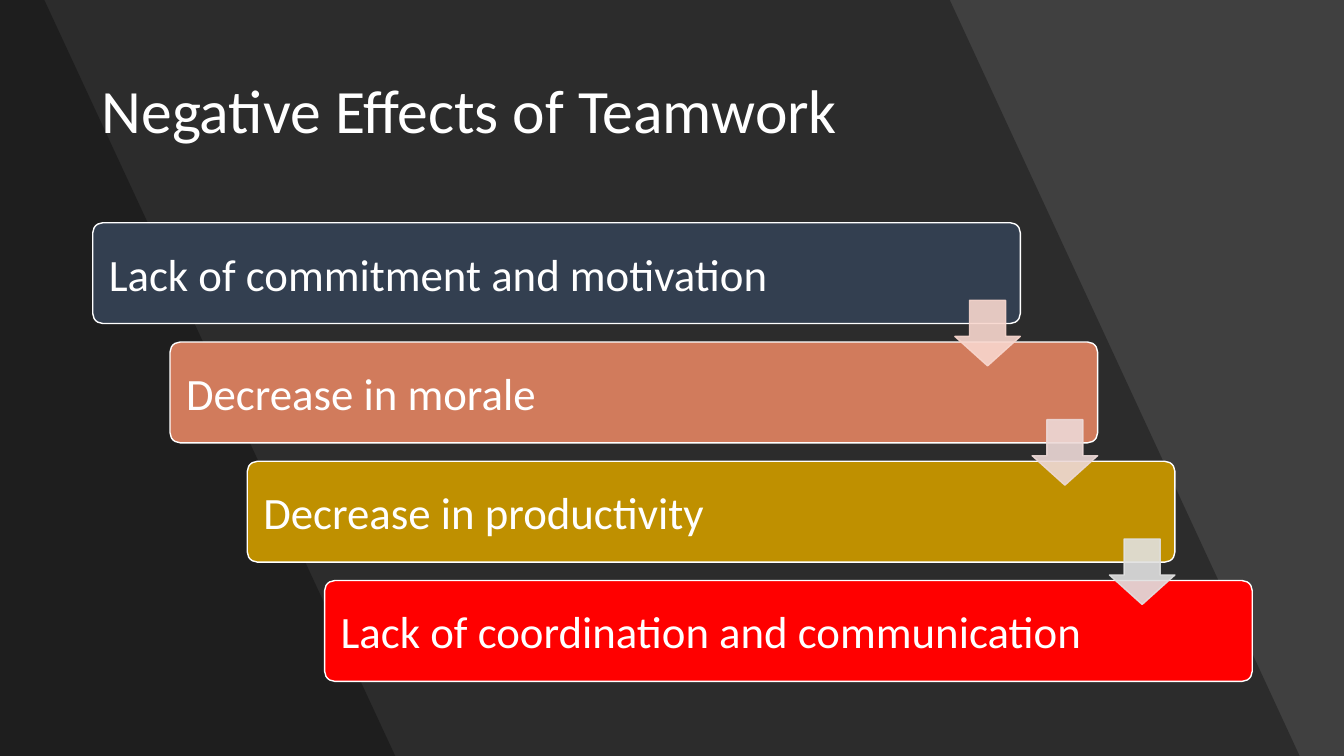
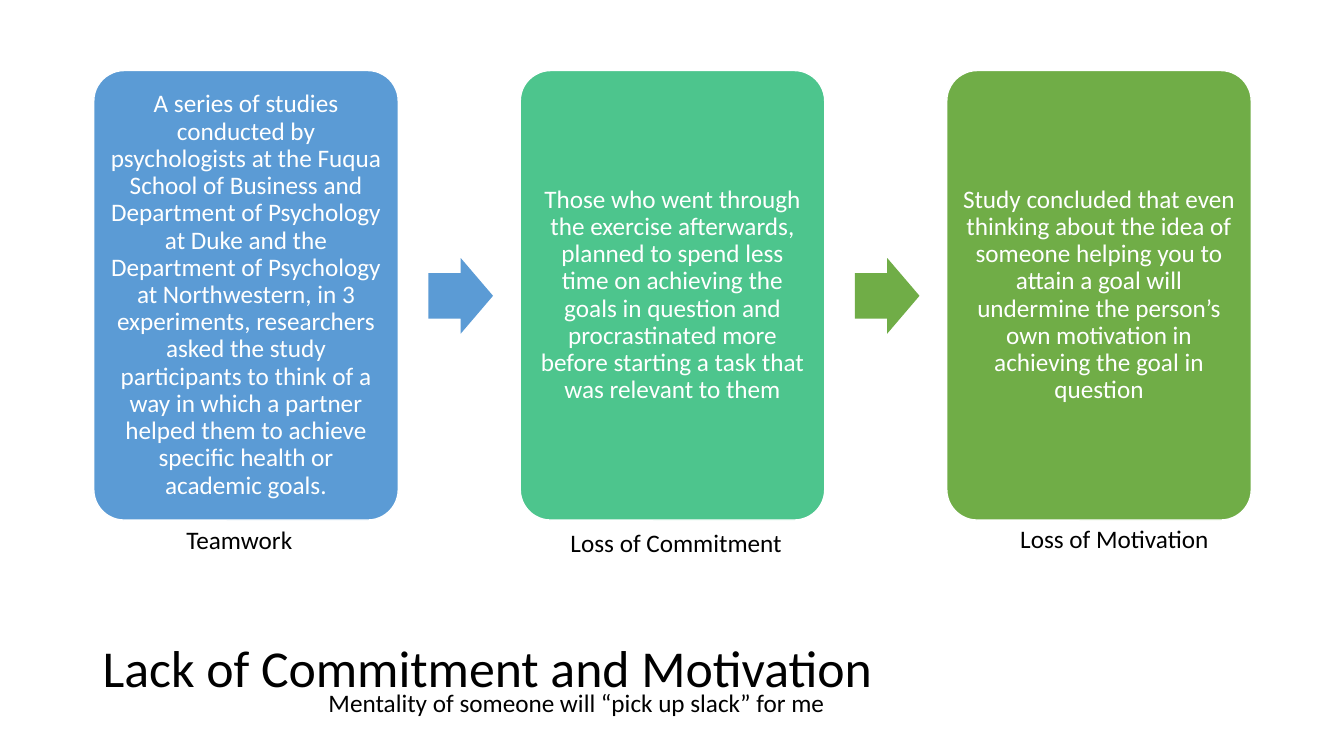
from dataclasses import dataclass

from lxml.etree import SubElement
from pptx import Presentation
from pptx.dml.color import RGBColor as Rgb
from pptx.enum.shapes import MSO_SHAPE as Kind
from pptx.enum.text import MSO_ANCHOR as Anchor, PP_ALIGN as Align
from pptx.oxml.ns import qn
from pptx.shapes.autoshape import Shape
from pptx.slide import Slide
from pptx.util import Inches, Pt

FONT = "Calibri"
COLORS = {
    "white": "FFFFFF", "black": "000000", "gray": "404040",
    "navy": "333F50", "clay": "D17B5C", "gold": "BF9000", "red": "FF0000",
    "peach": "F8D7CE", "rose": "EDD9D7", "silver": "E1E1E1",
    "blue": "5B9BD5", "mint": "4DC58D", "green": "70AD47",
}


@dataclass
class Box:
    left: float
    top: float
    width: float
    height: float

    def lengths(self) -> list[Inches]:
        return [Inches(v) for v in (self.left, self.top, self.width, self.height)]


@dataclass
class Style:
    size: float
    color: str = "white"
    align: Align = Align.LEFT
    anchor: Anchor = Anchor.MIDDLE
    spacing: float = 1.0
    inset: float | None = None


@dataclass
class Step:
    text: str
    color: str
    arrow: str | None = None


@dataclass
class Card:
    text: str
    color: str
    label: str
    spot: Box
    arrow: str | None = None


STEPS = [
    Step("Lack of commitment and motivation", "navy", "peach"),
    Step("Decrease in morale", "clay", "rose"),
    Step("Decrease in productivity", "gold", "silver"),
    Step("Lack of coordination and communication", "red"),
]
CARDS = [
    Card("A series of studies conducted by psychologists at the Fuqua School of "
         "Business and Department of Psychology at Duke and the Department of "
         "Psychology at Northwestern, in 3 experiments, researchers asked the study "
         "participants to think of a way in which a partner helped them to achieve "
         "specific health or academic goals.",
         "blue", "Teamwork", Box(1.75, 5.15, 1.41, 0.4), "blue"),
    Card("Those who went through the exercise afterwards, planned to spend less "
         "time on achieving the goals in question and procrastinated more before "
         "starting a task that was relevant to them",
         "mint", "Loss of Commitment", Box(5.56, 5.18, 2.48, 0.4), "green"),
    Card("Study concluded that even thinking about the idea of someone helping you "
         "to attain a goal will undermine the person’s own motivation in achieving "
         "the goal in question",
         "green", "Loss of Motivation", Box(10.02, 5.14, 2.09, 0.4)),
]
STEP_TEXT = Style(32, inset=0.13)
CARD_TEXT = Style(18, align=Align.CENTER, spacing=0.9, inset=0.07)
NOTE_TEXT = Style(18, "black", anchor=Anchor.TOP)


def rgb(name: str) -> Rgb:
    return Rgb.from_string(COLORS[name])


def set_all(target: object, values: dict) -> None:
    for name, value in values.items():
        setattr(target, name, value)


def write(shape: Shape, text: str, style: Style) -> None:
    frame = shape.text_frame
    set_all(frame, {"word_wrap": True, "vertical_anchor": style.anchor})
    if style.inset is not None:
        sides = ("left", "top", "right", "bottom")
        set_all(frame, {f"margin_{side}": Inches(style.inset) for side in sides})
    para = frame.paragraphs[0]
    set_all(para, {"alignment": style.align, "line_spacing": style.spacing})
    run = para.add_run()
    run.text = text
    set_all(run.font, {"name": FONT, "size": Pt(style.size)})
    run.font.color.rgb = rgb(style.color)


def add_text(slide: Slide, box: Box, text: str, style: Style) -> None:
    write(slide.shapes.add_textbox(*box.lengths()), text, style)


def add_title(slide: Slide, box: Box, text: str, size: float, color: str) -> None:
    add_text(slide, box, text, Style(size, color, spacing=0.9))


def paint(shape: Shape, fill: str, line: str | None = None,
          alpha: int | None = None) -> None:
    shape.shadow.inherit = False
    shape.fill.solid()
    shape.fill.fore_color.rgb = rgb(fill)
    if line:
        shape.line.color.rgb = rgb(line)
        shape.line.width = Pt(1)
    else:
        shape.line.fill.background()
    if alpha is not None:
        for node in list(shape._element.spPr.iter(qn("a:srgbClr"))):
            SubElement(node, qn("a:alpha")).set("val", str(alpha * 1000))


def add_shape(slide: Slide, kind: Kind, box: Box, adjust: tuple[float, ...],
              fill: str, line: str | None = None, alpha: int | None = None) -> Shape:
    shape = slide.shapes.add_shape(kind, *box.lengths())
    for index, value in enumerate(adjust):
        shape.adjustments[index] = value
    paint(shape, fill, line, alpha)
    return shape


def add_band(slide: Slide, top: float, base: float) -> None:
    points = [(top, 0), (base, 7.5), (0, 7.5)]
    form = slide.shapes.build_freeform(0, 0)
    form.add_line_segments([(Inches(x), Inches(y)) for x, y in points])
    paint(form.convert_to_shape(), "black", alpha=30)


def add_slide(deck: Presentation, color: str) -> Slide:
    slide = deck.slides.add_slide(deck.slide_layouts[6])
    slide.background.fill.solid()
    slide.background.fill.fore_color.rgb = rgb(color)
    return slide


def draw_steps(deck: Presentation) -> None:
    slide = add_slide(deck, "gray")
    for top, base in ((9.42, 12.89), (0.44, 3.92)):
        add_band(slide, top, base)
    add_title(slide, Box(0.91, 0.4, 11.51, 1.45),
              "Negative Effects of Teamwork", 44, "white")
    last = len(STEPS) - 1
    boxes = [Box(0.92 + 2.3 * i / last, 2.21 + 3.55 * i / last, 9.2, 1)
             for i in range(len(STEPS))]
    for step, box in zip(STEPS, boxes):
        bar = add_shape(slide, Kind.ROUNDED_RECTANGLE, box, (0.1,), step.color, "white")
        write(bar, step.text, STEP_TEXT)
    side = 0.65
    for step, box in zip(STEPS, boxes):
        if step.arrow:
            spot = Box(box.left + box.width - side, box.top + 0.77, side, side)
            add_shape(slide, Kind.DOWN_ARROW, spot, (0.55, 0.45),
                      step.arrow, step.arrow, 90)


def draw_cards(deck: Presentation) -> None:
    slide = add_slide(deck, "white")
    add_title(slide, Box(0.92, 6.05, 8.44, 1.2),
              "Lack of Commitment and Motivation", 37, "black")
    for index, card in enumerate(CARDS):
        left = 0.93 + 4.23 * index
        panel = add_shape(slide, Kind.ROUNDED_RECTANGLE, Box(left, 0.7, 3.02, 4.46),
                          (0.1,), card.color, "white")
        write(panel, card.text, CARD_TEXT)
        if card.arrow:
            add_shape(slide, Kind.RIGHT_ARROW, Box(left + 3.32, 2.56, 0.64, 0.75),
                      (0.6, 0.5), card.arrow)
        add_text(slide, card.spot, card.label, NOTE_TEXT)
    add_text(slide, Box(3.16, 6.77, 5.24, 0.4),
             "Mentality of someone will “pick up slack” for me", NOTE_TEXT)


def main() -> None:
    deck = Presentation()
    set_all(deck, {"slide_width": Inches(13.33), "slide_height": Inches(7.5)})
    draw_steps(deck)
    draw_cards(deck)
    deck.save("out.pptx")


if __name__ == "__main__":
    main()
